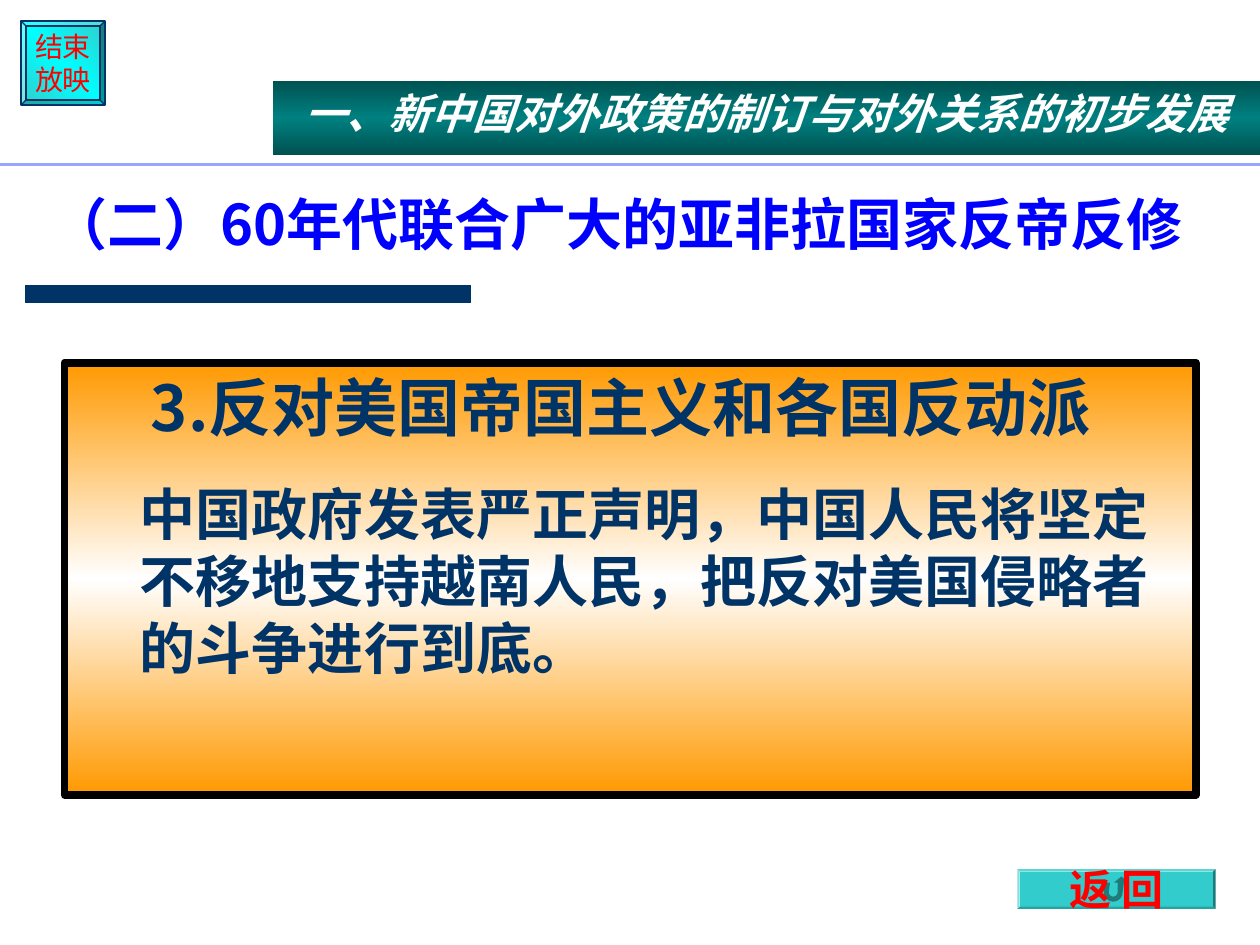
import copy
import math
import pptx
import pptx.util
import pptx.dml.color
import pptx.enum.shapes
import pptx.enum.text
import pptx.oxml

Pt = pptx.util.Pt
SHAPE = pptx.enum.shapes.MSO_SHAPE
ALIGN = pptx.enum.text.PP_ALIGN
ANCHOR = pptx.enum.text.MSO_ANCHOR
CJK = "Noto Sans CJK SC"
A = 'xmlns:a="http://schemas.openxmlformats.org/drawingml/2006/main"'


def color(hex_value):
    return pptx.dml.color.RGBColor.from_string(hex_value)


def fill_gradient(sp, edge, middle, angle):
    sp.fill.gradient()
    sp.fill.gradient_angle = angle
    stops = sp.fill._fill._gradFill.gsLst
    stops.insert(1, copy.deepcopy(stops[0]))
    for stop, pos, value in zip(sp.fill.gradient_stops, (0, 0.5, 1), (edge, middle, edge)):
        stop.position = pos
        stop.color.rgb = color(value)


def add_box(slide, kind, box, line=None, width=0.75):
    sp = slide.shapes.add_shape(kind, *map(Pt, box))
    sp.shadow.inherit = False
    if line:
        sp.line.color.rgb = color(line)
        sp.line.width = Pt(width)
    else:
        sp.line.fill.background()
    return sp


def add_line(slide, x1, x2, y, value, width):
    line = slide.shapes.add_connector(
        pptx.enum.shapes.MSO_CONNECTOR.STRAIGHT, Pt(x1), Pt(y), Pt(x2), Pt(y))
    line.line.color.rgb = color(value)
    line.line.width = Pt(width)
    line._element.spPr.append(pptx.oxml.parse_xml(f"<a:effectLst {A}/>"))


def setup_frame(sp, anchor, wrap=True, right=7.2):
    tf = sp.text_frame
    tf.auto_size = pptx.enum.text.MSO_AUTO_SIZE.NONE
    tf.word_wrap = wrap
    tf.vertical_anchor = anchor
    tf.margin_left, tf.margin_right = Pt(7.2), Pt(right)
    tf.margin_top = tf.margin_bottom = Pt(3.6)
    return tf


def add_run(p, text, size, value, font="Arial", bold=False, italic=False):
    r = p.add_run()
    r.text = text
    r.font.size = Pt(size)
    r.font.name = font
    r.font.bold = bold
    r.font.italic = italic
    r.font.color.rgb = color(value)
    r.font._element.find(".//{*}latin").addnext(
        pptx.oxml.parse_xml(f'<a:ea {A} typeface="{CJK}"/>'))


def end_button(slide, box):
    sp = add_box(slide, SHAPE.BEVEL, box, "003366")
    sp.adjustments[0] = 0.06
    fill_gradient(sp, "33CCCC", "00FFFF", 225)
    tf = setup_frame(sp, ANCHOR.MIDDLE, wrap=False)
    for i, text in enumerate(("结束", "放映")):
        p = tf.add_paragraph() if i else tf.paragraphs[0]
        p.alignment = ALIGN.CENTER
        add_run(p, text, 16, "FF0000")


def chapter_banner(slide, box):
    sp = add_box(slide, SHAPE.RECTANGLE, box)
    fill_gradient(sp, "005151", "008080", 90)
    p = setup_frame(sp, ANCHOR.TOP).paragraphs[0]
    p.alignment = ALIGN.CENTER
    add_run(p, "一、新中国对外政策的制订与对外关系的初步发展", 24, "FFFFFF", bold=True, italic=True)


def section_title(slide, box):
    sp = slide.shapes.title
    sp.left, sp.top, sp.width, sp.height = map(Pt, box)
    p = setup_frame(sp, ANCHOR.BOTTOM).paragraphs[0]
    p.alignment = ALIGN.LEFT
    p.line_spacing = 0.9
    add_run(p, "（二）60年代联合广大的亚非拉国家反帝反修", 32, "0000FF", CJK, bold=True)


def statement_panel(slide, box):
    sp = add_box(slide, SHAPE.RECTANGLE, box, "000000", 4.5)
    fill_gradient(sp, "FF9900", "FFFFFF", 90)
    tf = setup_frame(sp, ANCHOR.TOP, right=23.76)
    heading, body = tf.paragraphs[0], tf.add_paragraph()
    for p, before in ((heading, 17.5), (body, 20)):
        p.alignment = ALIGN.LEFT
        p.space_before = Pt(before)
        p._p.get_or_add_pPr().set("marL", str(Pt(36)))
    add_run(heading, " ", 28, "003366", CJK)
    add_run(heading, "3.反对美国帝国主义和各国反动派", 36, "003366", CJK, bold=True)
    add_run(body, "中国政府发表严正声明，中国人民将坚定不移地支持越南人民，"
            "把反对美国侵略者的斗争进行到底。", 32, "003366", CJK, bold=True)


def return_icon(slide, cx, cy, unit):
    def arc(radius, start, end):
        angles = [math.radians(start + (end - start) * i / 12) for i in range(13)]
        return [(radius * math.cos(a) - 0.25, radius * math.sin(a) + 0.25) for a in angles]

    outline = [(-1, -0.5), (-0.5, -0.5)] + arc(0.35, 180, 0) + [
        (0.1, -0.5), (-0.2, -0.5), (0.4, -1), (1, -0.5), (0.6, -0.5)] + arc(0.75, 0, 180)
    points = [(Pt(cx + x * unit), Pt(cy + y * unit)) for x, y in outline]
    builder = slide.shapes.build_freeform(*points[0])
    builder.add_line_segments(points[1:])
    sp = builder.convert_to_shape()
    sp.shadow.inherit = False
    sp.fill.solid()
    sp.fill.fore_color.rgb = color("1F7A7A")
    sp.line.fill.background()


def return_button(slide, box):
    left, top, width, height = box
    sp = add_box(slide, SHAPE.BEVEL, box)
    sp.adjustments[0] = 0.06
    sp.fill.solid()
    sp.fill.fore_color.rgb = color("33CCCC")
    return_icon(slide, left + width / 2, top + height / 2, 7.2)
    label = slide.shapes.add_textbox(*map(Pt, box))
    p = setup_frame(label, ANCHOR.MIDDLE, wrap=False).paragraphs[0]
    p.alignment = ALIGN.CENTER
    add_run(p, "返 回", 24, "FF0000", bold=True)


def main():
    prs = pptx.Presentation()
    prs.slide_width, prs.slide_height = Pt(720), Pt(540)
    slide = prs.slides.add_slide(prs.slide_layouts[5])
    add_line(slide, 14.2, 269, 168, "003366", 10)
    end_button(slide, (12, 12, 48, 48))
    statement_panel(slide, (36.9, 207.2, 646.4, 247))
    section_title(slide, (22.5, 88.5, 681, 62.5))
    return_button(slide, (581.3, 496.7, 113.3, 22.7))
    add_line(slide, 0, 720, 94.2, "9BA4FD", 1.75)
    chapter_banner(slide, (155.8, 46.2, 564.2, 42.4))
    prs.save("out.pptx")


if __name__ == "__main__":
    main()
